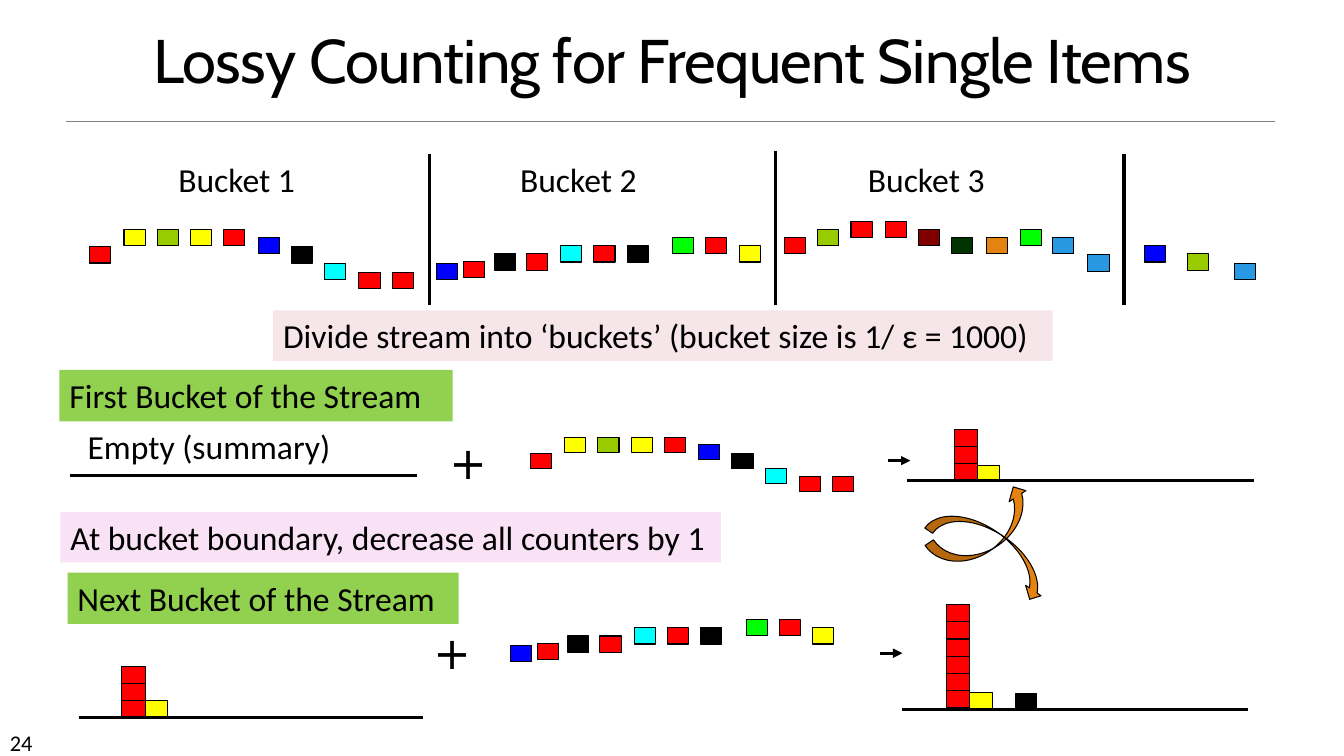
"""Build the slide on lossy counting of frequent single items."""
from pptx import Presentation
from pptx.dml.color import RGBColor
from pptx.enum.shapes import MSO_CONNECTOR, MSO_SHAPE
from pptx.enum.text import MSO_ANCHOR, PP_ALIGN
from pptx.oxml.ns import qn
from pptx.oxml.xmlchemy import OxmlElement
from pptx.util import Emu, Pt

PX = 9144
THEME = {
    "red": "FF0000", "yellow": "FFFF00", "olive": "99CC00", "blue": "0000FF",
    "cyan": "00FFFF", "black": "000000", "green": "00FF00", "maroon": "800000",
    "forest": "003300", "orange": "E48312", "sky": "2998E3", "grey": "808080",
    "rose": "F6E6EA", "pink": "FAE2F6", "lime": "92D050",
    "title": {"name": "Cabin", "size": Pt(44)},
    "label": {"name": "Calibri", "size": Pt(24)},
    "plus": {"name": "DejaVu Sans", "size": Pt(32)},
    "number": {"name": "Calibri", "size": Pt(16)},
}


def color(name):
    return RGBColor.from_string(THEME[name])


def add_block(kind, x, y, w, h, fill):
    sp = s.shapes.add_shape(kind, *(Emu(round(v * PX)) for v in (x, y, w, h)))
    sp.shadow.inherit = False
    sp.fill.solid()
    sp.fill.fore_color.rgb = color(fill)
    sp.line.color.rgb = color("black")
    sp.line.width = Pt(0.75)
    return sp


prs = Presentation()
prs.slide_width, prs.slide_height = Emu(1333 * PX), Emu(750 * PX)
s = prs.slides.add_slide(prs.slide_layouts[5])

title = s.shapes.title
box = {"left": 0, "top": 25, "width": 1333, "height": 75}
for key, value in box.items():
    setattr(title, key, Emu(value * PX))
tf = title.text_frame
tf.text = "Lossy Counting for Frequent Single Items"
tf.vertical_anchor = MSO_ANCHOR.BOTTOM
p = tf.paragraphs[0]
p.alignment = PP_ALIGN.CENTER
p.line_spacing = 0.85
r = p.runs[0]
for key, value in THEME["title"].items():
    setattr(r.font, key, value)
r.font.color.rgb = color("black")
r.font._element.set("spc", "-50")

bucket_1 = [
    (89, 245, "red"), (123, 228, "yellow"), (156, 228, "olive"),
    (189, 228, "yellow"), (222, 228, "red"), (256, 236, "blue"),
    (289, 245, "black"), (322, 261, "cyan"), (356, 270, "red"), (389, 270, "red"),
]
bucket_2 = [
    (433, 261, "blue"), (460, 259, "red"), (490, 252, "black"), (522, 252, "red"),
    (556, 244, "cyan"), (589, 244, "red"), (622, 244, "black"),
    (667, 236, "green"), (700, 236, "red"), (733, 244, "yellow"),
]
bucket_3 = [
    (778, 236, "red"), (811, 228, "olive"), (844, 220, "red"), (878, 220, "red"),
    (911, 228, "maroon"), (944, 236, "forest"), (978, 236, "orange"),
    (1012, 228, "green"), (1044, 236, "sky"), (1079, 253, "sky"),
]
bucket_4 = [(1135, 244, "blue"), (1178, 252, "olive"), (1224, 261, "sky")]

streams = [
    (bucket_1, 0, 0, 1), (bucket_2, 0, 0, 1), (bucket_3, 0, 0, 1),
    (bucket_4, 0, 0, 1), (bucket_1, 437, 206, 0.93), (bucket_2, 73, 379, 1),
]
for items, dx, dy, squeeze in streams:
    for x, y, fill in items:
        top = 228 + dy + (y - 228) * squeeze
        add_block(MSO_SHAPE.RECTANGLE, x + dx, top, 21, 16 * squeeze, fill)

counters = [
    (947, 477, 23, 17, 3, "red"), (969, 477, 22, 15, 1, "yellow"),
    (121, 712, 23, 17, 3, "red"), (144, 711, 22, 16, 1, "yellow"),
    (939, 702, 23, 17, 6, "red"), (962, 703, 22, 16, 1, "yellow"),
    (1007, 704, 21, 16, 1, "black"),
]
for x, base, w, h, count, fill in counters:
    for level in range(1, count + 1):
        add_block(MSO_SHAPE.RECTANGLE, x, base - level * h, w, h, fill)

lines = [
    (65, 120, 1265, 120, 0.5, "grey", False),
    (426, 303, 426, 153, 2.5, "black", False),
    (769, 303, 769, 150, 2.5, "black", False),
    (1115, 303, 1115, 153, 2.5, "black", False),
    (69, 472, 414, 472, 2, "black", False),
    (900, 477, 1244, 477, 2.25, "black", False),
    (78, 712, 420, 712, 2.25, "black", False),
    (895, 704, 1238, 704, 2.25, "black", False),
    (881, 457, 903, 457, 2.25, "black", True),
    (873, 648, 895, 648, 2.25, "black", True),
]
for x1, y1, x2, y2, width, ink, arrow in lines:
    ends = (Emu(v * PX) for v in (x1, y1, x2, y2))
    cxn = s.shapes.add_connector(MSO_CONNECTOR.STRAIGHT, *ends)
    cxn.line.color.rgb = color(ink)
    cxn.line.width = Pt(width)
    cxn._element.spPr.append(OxmlElement("a:effectLst"))
    if arrow:
        tail = OxmlElement("a:tailEnd")
        tail.set("type", "triangle")
        cxn.line._get_or_add_ln().append(tail)

labels = [
    (167, 153, 137, 51, "Bucket 1", "label", None),
    (506, 153, 137, 51, "Bucket 2", "label", None),
    (851, 153, 137, 51, "Bucket 3", "label", None),
    (271, 308, 773, 50, "Divide stream into ‘buckets’ (bucket size is 1/ ε = 1000)",
     "label", "rose"),
    (59, 367, 390, 51, "First Bucket of the Stream", "label", "lime"),
    (77, 418, 357, 50, "Empty (summary)", "label", None),
    (436, 426, 57, 64, "+", "plus", None),
    (60, 508, 655, 50, "At bucket boundary, decrease all counters by 1",
     "label", "pink"),
    (67, 568, 388, 51, "Next Bucket of the Stream", "label", "lime"),
    (420, 615, 57, 64, "+", "plus", None),
    (0, 718, 117, 30, "24", "number", None),
]
for x, y, w, h, text, style, fill in labels:
    sp = s.shapes.add_textbox(*(Emu(v * PX) for v in (x, y, w, h)))
    if fill:
        sp.fill.solid()
        sp.fill.fore_color.rgb = color(fill)
    tf = sp.text_frame
    tf.word_wrap = True
    tf.margin_right = 0
    tf.text = text
    font = tf.paragraphs[0].runs[0].font
    for key, value in THEME[style].items():
        setattr(font, key, value)
    font.color.rgb = color("black")

curved_arrows = [(919, 506, 115, 40, 326.4, False), (916, 528, 135, 37, 34.2, True)]
for x, y, w, h, angle, flipped in curved_arrows:
    sp = add_block(MSO_SHAPE.CURVED_UP_ARROW, x, y, w, h, "orange")
    sp.rotation = angle
    if flipped:
        sp._element.spPr.find(qn("a:xfrm")).set("flipV", "1")

prs.save("out.pptx")
